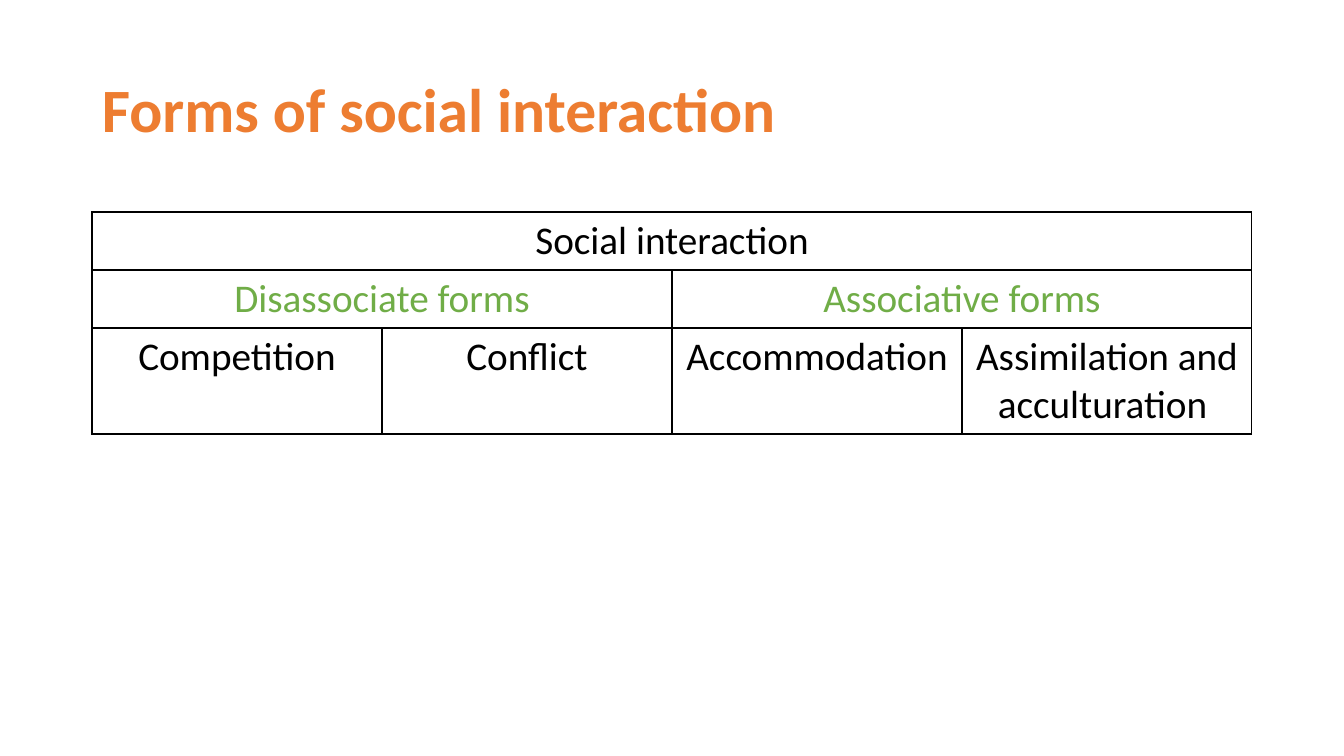
from dataclasses import dataclass

from lxml import etree
from pptx import Presentation
from pptx.dml.color import RGBColor
from pptx.enum.text import MSO_ANCHOR, PP_ALIGN
from pptx.oxml.ns import qn
from pptx.util import Emu, Pt

MIDDLE = MSO_ANCHOR.MIDDLE
LEFT = PP_ALIGN.LEFT
CENTER = PP_ALIGN.CENTER
BLANK_LAYOUT = 6
EMU_PER_PIXEL = 914400 / 100.8
BORDER_SIDES = ("a:lnL", "a:lnR", "a:lnT", "a:lnB")


@dataclass(frozen=True)
class Theme:
    font: str = "Calibri"
    title_color: str = "ED7D31"
    form_color: str = "70AD47"
    text_color: str = "000000"
    border_color: str = "000000"
    title_size: int = 44
    cell_size: int = 28
    border_width: int = 1


THEME = Theme()
COLUMN_COUNT = 4
COLUMN_WIDTH = 290
ROWS = (
    (58, THEME.text_color, ("Social interaction",)),
    (58, THEME.form_color, ("Disassociate forms", "Associative forms")),
    (106, THEME.text_color, (
        "Competition", "Conflict", "Accommodation", "Assimilation and acculturation ",
    )),
)


def px(pixels):
    return Emu(round(pixels * EMU_PER_PIXEL))


def write_text(frame, text, size, color, align, bold=False):
    frame.text = text
    para = frame.paragraphs[0]
    para.alignment = align
    span = para.runs[0]
    span.font.name = THEME.font
    span.font.size = Pt(size)
    span.font.bold = bold
    span.font.color.rgb = RGBColor.from_string(color)
    return para


def add_title(page, text, left, top, width, height):
    box = page.shapes.add_textbox(px(left), px(top), px(width), px(height))
    frame = box.text_frame
    frame.word_wrap = True
    frame.vertical_anchor = MIDDLE
    para = write_text(frame, text, THEME.title_size, THEME.title_color, LEFT, bold=True)
    para.line_spacing = 0.9


def style_cell(cell):
    cell.fill.background()
    properties = cell._tc.get_or_add_tcPr()
    for position, side in enumerate(BORDER_SIDES):
        line = etree.Element(qn(side), w=str(Pt(THEME.border_width)))
        fill = etree.SubElement(line, qn("a:solidFill"))
        etree.SubElement(fill, qn("a:srgbClr"), val=THEME.border_color)
        properties.insert(position, line)


def add_forms_table(page, left, top):
    width = COLUMN_COUNT * COLUMN_WIDTH
    height = sum(row_height for row_height, _, _ in ROWS)
    table = page.shapes.add_table(
        len(ROWS), COLUMN_COUNT, px(left), px(top), px(width), px(height)
    ).table
    table.first_row = False
    table.horz_banding = False
    for column in table.columns:
        column.width = px(COLUMN_WIDTH)
    for cell in table.iter_cells():
        style_cell(cell)
    for row_index, (row_height, color, labels) in enumerate(ROWS):
        table.rows[row_index].height = px(row_height)
        column_span = COLUMN_COUNT // len(labels)
        for label_index, label in enumerate(labels):
            first = label_index * column_span
            cell = table.cell(row_index, first)
            if column_span > 1:
                cell.merge(table.cell(row_index, first + column_span - 1))
            write_text(cell.text_frame, label, THEME.cell_size, color, CENTER)


def main():
    deck = Presentation()
    deck.slide_width = px(1344)
    deck.slide_height = px(756)
    page = deck.slides.add_slide(deck.slide_layouts[BLANK_LAYOUT])
    add_title(page, "Forms of social interaction", 92, 40, 1160, 146)
    add_forms_table(page, 92, 212)
    deck.save("out.pptx")


main()
